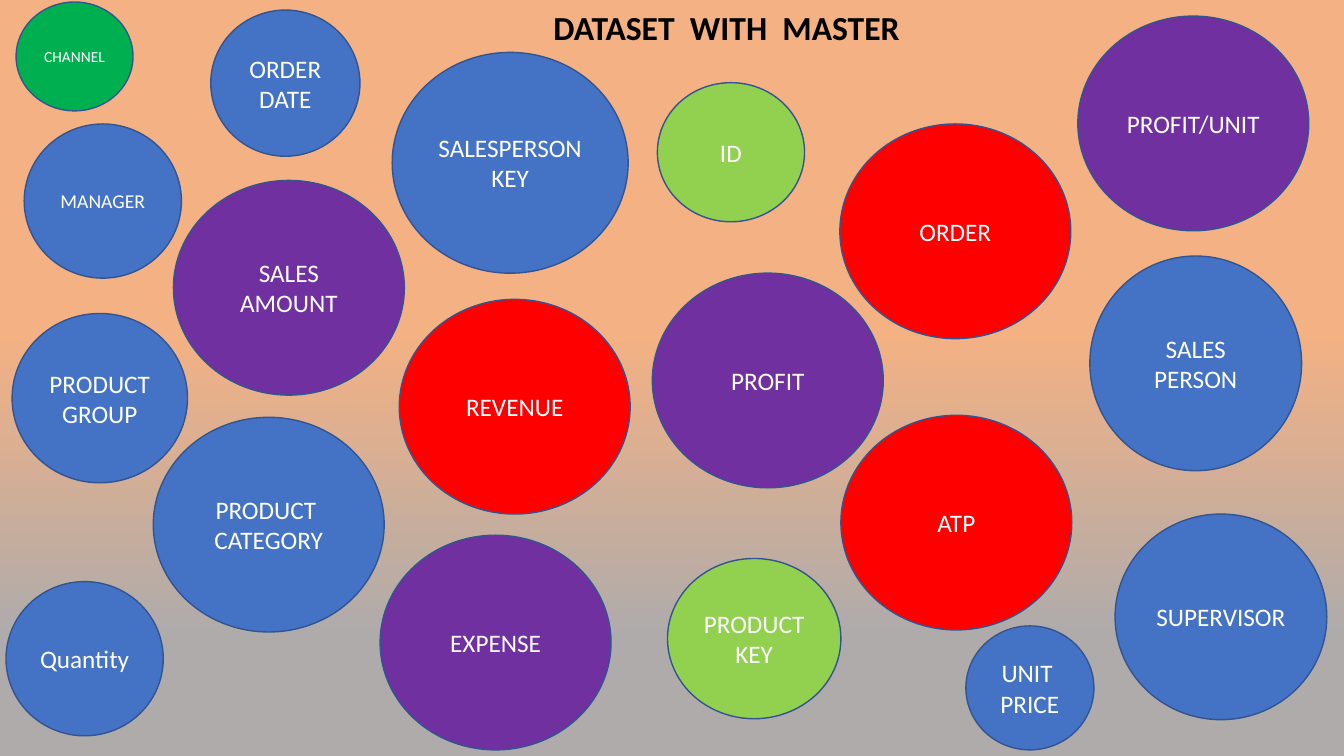
"""Build the slide of dataset fields, drawn as coloured bubbles under a title."""
from copy import deepcopy

from pptx import Presentation
from pptx.dml.color import RGBColor
from pptx.enum.shapes import MSO_SHAPE
from pptx.enum.text import MSO_ANCHOR, MSO_AUTO_SIZE, PP_ALIGN
from pptx.oxml.ns import qn
from pptx.util import Inches, Pt

BLUE = RGBColor(0x44, 0x72, 0xC4)
PURPLE = RGBColor(0x70, 0x30, 0xA0)
RED = RGBColor(0xFF, 0x00, 0x00)
GREEN = RGBColor(0x00, 0xB0, 0x50)
LIME = RGBColor(0x92, 0xD0, 0x50)
OUTLINE = RGBColor(0x32, 0x54, 0x91)
PEACH = RGBColor(0xF4, 0xB1, 0x83)
GREY = RGBColor(0xAF, 0xAB, 0xAB)
WHITE = RGBColor(0xFF, 0xFF, 0xFF)
BLACK = RGBColor(0x00, 0x00, 0x00)

COLS, ROWS = 1333, 750
BIG = (229, 213)
SMALL = (156, 153)

prs = Presentation()
prs.slide_width, prs.slide_height = Inches(13.33), Inches(7.5)
COL, ROW = prs.slide_width / COLS, prs.slide_height / ROWS
s = prs.slides.add_slide(prs.slide_layouts[6])


def grid(left, top, width, height):
    """Turn grid columns and rows into slide lengths."""
    return int(left * COL), int(top * ROW), int(width * COL), int(height * ROW)


def add_run(p, text, size, color, bold=False):
    """Add one run of text to a paragraph."""
    r = p.add_run()
    r.text = text
    r.font.name = "Calibri"
    r.font.size = Pt(size)
    r.font.bold = bold
    r.font.color.rgb = color


fill = s.background.fill
fill.gradient()
fill.gradient_angle = 270
first = next(s.element.iter(qn("a:gs")))
first.addnext(deepcopy(first))
stops = [(0, PEACH), (0.44, PEACH), (0.84, GREY)]
for stop, (position, color) in zip(fill.gradient_stops, stops):
    stop.position = position
    stop.color.rgb = color

title = s.shapes.add_textbox(*grid(539, 2, 371, 50))
tf = title.text_frame
tf.word_wrap = True
tf.auto_size = MSO_AUTO_SIZE.SHAPE_TO_FIT_TEXT
add_run(tf.paragraphs[0], "DATASET  WITH  MASTER", 24, BLACK, bold=True)

bubbles = [
    (["PRODUCT", "GROUP"], 12, 311, (174, 168), BLUE, 18),
    (["Quantity"], 6, 577, SMALL, BLUE, 18),
    (["MANAGER"], 24, 123, SMALL, BLUE, 14),
    (["SALES AMOUNT"], 172, 179, BIG, PURPLE, 18),
    (["PRODUCT ", "CATEGORY"], 152, 414, BIG, BLUE, 18),
    (["EXPENSE"], 377, 531, BIG, PURPLE, 18),
    (["SUPERVISOR"], 1106, 510, (210, 204), BLUE, 18),
    (["REVENUE"], 396, 297, BIG, RED, 18),
    (["PROFIT"], 647, 271, BIG, PURPLE, 18),
    (["ATP"], 834, 412, BIG, RED, 18),
    (["SALES", "PERSON"], 1081, 254, (210, 213), BLUE, 18),
    (["SALESPERSON", "KEY"], 389, 52, (234, 219), BLUE, 18),
    (["ORDER"], 833, 123, BIG, RED, 18),
    (["PROFIT/UNIT"], 1069, 16, BIG, PURPLE, 18),
    (["CHANNEL"], 16, 2, (116, 108), GREEN, 11),
    (["UNIT ", "PRICE"], 958, 621, (127, 123), BLUE, 18),
    (["ORDER DATE"], 209, 10, (148, 145), BLUE, 18),
    (["ID"], 652, 82, (146, 138), LIME, 18),
    (["PRODUCT KEY"], 662, 554, (172, 159), LIME, 18),
]
for lines, left, top, size, color, points in bubbles:
    sp = s.shapes.add_shape(MSO_SHAPE.OVAL, *grid(left, top, *size))
    sp.shadow.inherit = False
    sp.fill.solid()
    sp.fill.fore_color.rgb = color
    sp.line.color.rgb = OUTLINE
    sp.line.width = Pt(1)
    tf = sp.text_frame
    tf.word_wrap = True
    tf.vertical_anchor = MSO_ANCHOR.MIDDLE
    for i, line in enumerate(lines):
        p = tf.add_paragraph() if i else tf.paragraphs[0]
        p.alignment = PP_ALIGN.CENTER
        add_run(p, line, points, WHITE)

prs.save("out.pptx")
